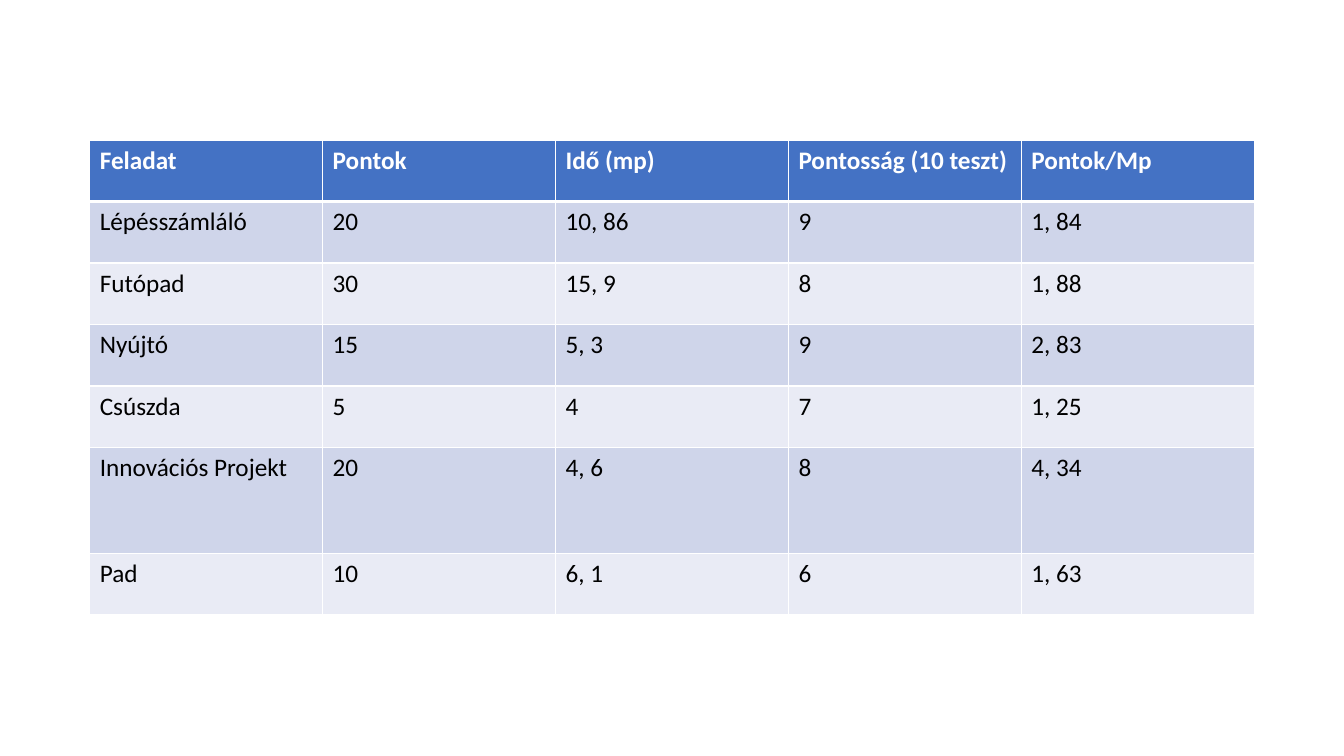
"""Build a slide with a table of task scores."""
from lxml.etree import SubElement as Sub
from pptx import Presentation as Deck
from pptx.dml.color import RGBColor as RGB
from pptx.oxml.ns import qn
from pptx.util import Inches, Pt

HUES = {"head": "4472C4", "odd": "CFD5EA", "even": "E9EBF5",
        "white": "FFFFFF", "black": "000000"}
ROWS = [
    ("Feladat", "Pontok", "Idő (mp)", "Pontosság (10 teszt)", "Pontok/Mp"),
    ("Lépésszámláló", "20", "10, 86", "9", "1, 84"),
    ("Futópad", "30", "15, 9", "8", "1, 88"),
    ("Nyújtó", "15", "5, 3", "9", "2, 83"),
    ("Csúszda", "5", "4", "7", "1, 25"),
    ("Innovációs Projekt", "20", "4, 6", "8", "4, 34"),
    ("Pad", "10", "6, 1", "6", "1, 63"),
]
WIDE = 2.31
HIGH = [0.61] * 5 + [1.05, 0.61]


class Page:
    def __init__(self, slide):
        self.slide = slide
        self.font = {"name": "Calibri", "size": Pt(18)}

    def edge(self, cell, side, width):
        line = Sub(cell._tc.get_or_add_tcPr(), qn(f"a:ln{side}"), w=str(Pt(width)))
        fill = Sub(line, qn("a:solidFill"))
        Sub(fill, qn("a:srgbClr"), val=HUES["white"])

    def cell(self, cell, text, row):
        head = row == 0
        thick = {"T": 3 if row == 1 else 1, "B": 3 if head else 1}
        for side in "LRTB":
            self.edge(cell, side, thick.get(side, 1))
        cell.fill.solid()
        tone = "head" if head else "odd" if row % 2 else "even"
        cell.fill.fore_color.rgb = RGB.from_string(HUES[tone])
        cell.text = text
        font = cell.text_frame.paragraphs[0].runs[0].font
        for key, value in {**self.font, "bold": head}.items():
            setattr(font, key, value)
        font.color.rgb = RGB.from_string(HUES["white" if head else "black"])

    def table(self, left, top, rows, wide, high):
        count = len(rows[0])
        grid = self.slide.shapes.add_table(
            len(rows), count, Inches(left), Inches(top),
            Inches(wide * count), Inches(sum(high))).table
        for col in grid.columns:
            col.width = Inches(wide)
        for r, (row, tall) in enumerate(zip(rows, high)):
            grid.rows[r].height = Inches(tall)
            for c, text in enumerate(row):
                self.cell(grid.cell(r, c), text, r)


def main():
    deck = Deck()
    deck.slide_width, deck.slide_height = Inches(13.33), Inches(7.5)
    page = Page(deck.slides.add_slide(deck.slide_layouts[6]))
    page.table(0.89, 1.39, ROWS, WIDE, HIGH)
    deck.save("out.pptx")


if __name__ == "__main__":
    main()
